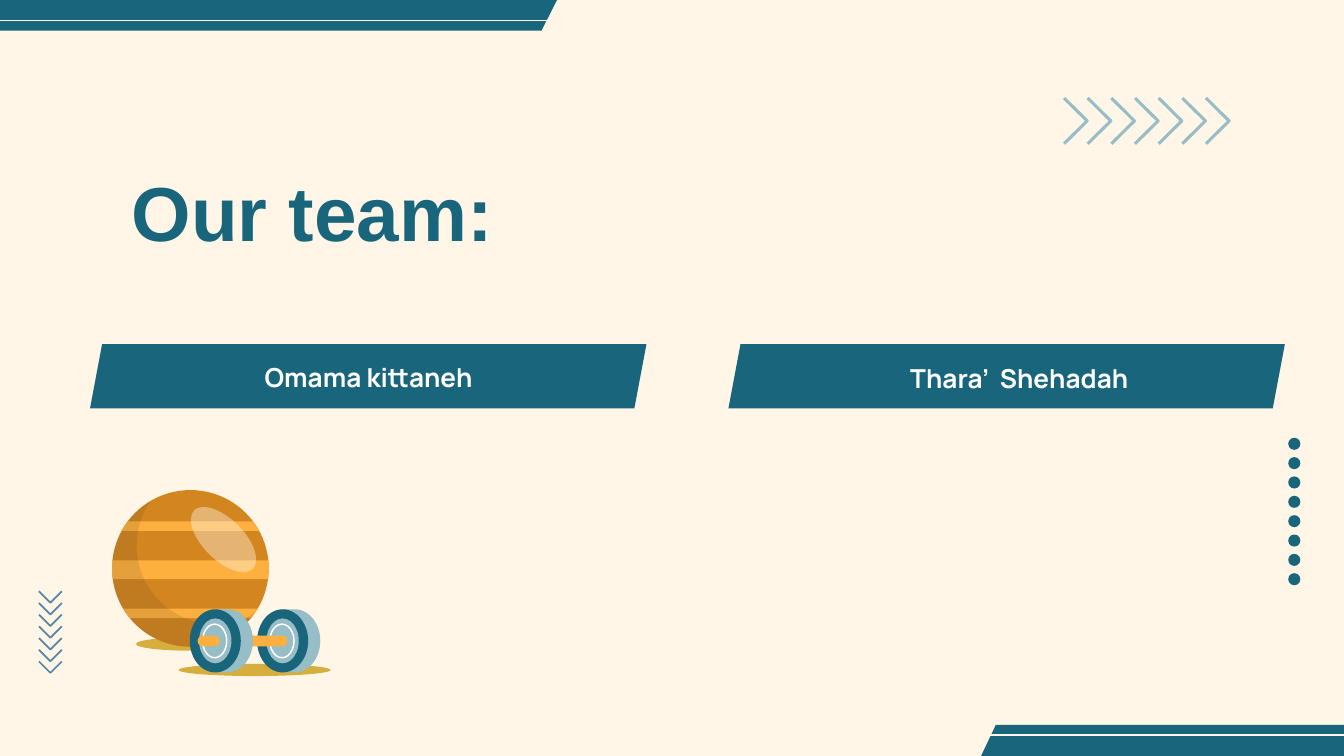
from dataclasses import dataclass
from math import asin, cos, degrees, radians, sin
from typing import Optional

from lxml.etree import SubElement
from pptx import Presentation
from pptx.dml.color import RGBColor
from pptx.enum.shapes import MSO_CONNECTOR, MSO_SHAPE
from pptx.enum.text import MSO_ANCHOR, MSO_AUTO_SIZE, PP_ALIGN
from pptx.oxml.ns import qn
from pptx.util import Inches, Pt

# The slide is a square grid: 1000 columns by 562.5 rows (16:9)
COLUMNS, ROWS = 1000, 562.5
CELL = Inches(10) // COLUMNS

TEAL, CREAM, MIST, STEEL = "19657C", "FFF6E7", "97BDC6", "5687A8"
AMBER, ORANGE, MUSTARD = "FDB03E", "D38620", "D6AE3E"
WHITE, CHARCOAL = "FFFFFF", "272626"

Points = list[tuple[float, float]]


@dataclass(frozen=True)
class Box:
    col: float
    row: float
    cols: float
    rows: float

    def emu(self) -> list[int]:
        return [grid(n) for n in (self.col, self.row, self.cols, self.rows)]


@dataclass(frozen=True)
class Look:
    fill: Optional[str] = None
    line: Optional[str] = None
    weight: float = 1
    opacity: int = 100


@dataclass(frozen=True)
class Member:
    name: str
    banner_col: float
    name_box: Box


def grid(cells: float) -> int:
    return round(cells * CELL)


def rgb(colour: str) -> RGBColor:
    return RGBColor.from_string(colour)


def style(shape, look: Look) -> None:
    shape.shadow.inherit = False
    if look.fill:
        shape.fill.solid()
        shape.fill.fore_color.rgb = rgb(look.fill)
        if look.opacity < 100:
            tint = shape.fill._xPr.find(".//" + qn("a:srgbClr"))
            SubElement(tint, qn("a:alpha"), val=str(look.opacity * 1000))
    else:
        shape.fill.background()
    if look.line:
        shape.line.color.rgb = rgb(look.line)
        shape.line.width = Pt(look.weight)
    else:
        shape.line.fill.background()


def outline(shapes, points: Points, look: Look, close: bool = True) -> None:
    start, *rest = [(grid(x), grid(y)) for x, y in points]
    builder = shapes.build_freeform(*start, scale=1.0)
    builder.add_line_segments(rest, close=close)
    style(builder.convert_to_shape(), look)


def preset(shapes, kind: MSO_SHAPE, box: Box, look: Look):
    shape = shapes.add_shape(kind, *box.emu())
    style(shape, look)
    return shape


def oval(shapes, x: float, y: float, rx: float, ry: float, look: Look):
    return preset(shapes, MSO_SHAPE.OVAL, Box(x - rx, y - ry, 2 * rx, 2 * ry), look)


def arc(x: float, y: float, rx: float, ry: float, start: float, end: float) -> Points:
    steps = 40
    angles = [radians(start + (end - start) * i / steps) for i in range(steps + 1)]
    return [(x + rx * cos(a), y + ry * sin(a)) for a in angles]


def stripe(shapes, start: float, end: float, row: float) -> None:
    line = shapes.add_connector(MSO_CONNECTOR.STRAIGHT, grid(start), grid(row), grid(end), grid(row))
    line.line.color.rgb = rgb(CREAM)
    line.line.width = Pt(0.75)
    SubElement(line._element.spPr, qn("a:effectLst"))


def write(shape, box: Box, text: str, font_format: dict) -> None:
    shape.left, shape.top, shape.width, shape.height = box.emu()
    frame = shape.text_frame
    frame_format = {"word_wrap": True, "auto_size": MSO_AUTO_SIZE.NONE,
                    "vertical_anchor": MSO_ANCHOR.MIDDLE}
    for side in ("left", "right", "top", "bottom"):
        frame_format[f"margin_{side}"] = grid(10)
    for key, value in frame_format.items():
        setattr(frame, key, value)
    paragraph = frame.paragraphs[0]
    paragraph.alignment = PP_ALIGN.CENTER
    run = paragraph.add_run()
    run.text = text
    run.font.color.rgb = rgb(font_format["colour"])
    for key in ("name", "size", "bold"):
        setattr(run.font, key, font_format[key])


def draw_frame(shapes) -> None:
    bar = Look(fill=TEAL)
    outline(shapes, [(0, 0), (0, 22.7), (403, 22.7), (414.5, 0)], bar)
    stripe(shapes, 0, 424, 15.2)
    outline(shapes, [(741, 539.3), (730, ROWS), (COLUMNS, ROWS), (COLUMNS, 539.3)], bar)
    stripe(shapes, 720, COLUMNS, 547)
    # Column of dots
    for i in range(8):
        oval(shapes, 963, 330.2 + 14.4 * i, 4.5, 4.5, bar)
    # Chevrons pointing down, then chevrons pointing right
    for i in range(7):
        y = 440 + 8.7 * i
        outline(shapes, [(29, y), (37.5, y + 8.5), (46, y)], Look(line=STEEL, weight=0.94), False)
    for i in range(7):
        x = 791.7 + 17.6 * i
        outline(shapes, [(x, 73), (x + 17.2, 90), (x, 107)], Look(line=MIST, weight=1.64), False)


def draw_ball(shapes) -> None:
    x, y, r = 141.7, 423, 58.3
    oval(shapes, 142, 479.2, 41, 5, Look(fill=MUSTARD))
    oval(shapes, x, y, r, r, Look(fill=ORANGE))
    for top, bottom in ((388, 395), (453, 460), (417, 431)):
        a, b = (degrees(asin((row - y) / r)) for row in (top, bottom))
        band = arc(x, y, r, r, a, b) + arc(x, y, r, r, 180 - b, 180 - a)
        outline(shapes, band, Look(fill=AMBER))
    gleam = oval(shapes, 166.3, 401.5, 30.7, 15.2, Look(fill=CREAM, opacity=42))
    gleam.rotation = 45
    shade = arc(x, y, r, r, 239, 36) + arc(160, 406, r, r, 60, 215)
    outline(shapes, shade, Look(fill=CHARCOAL, opacity=11))


def draw_wheel(shapes, x: float, axle_start: float, axle_end: float) -> None:
    y, rx, ry = 476.9, 19, 23.5
    tyre = [(x, y - ry)] + arc(x + 9, y, rx, ry, -90, 90) + [(x, y + ry)]
    outline(shapes, tyre, Look(fill=MIST))
    oval(shapes, x, y, rx, ry, Look(fill=TEAL))
    oval(shapes, x, y, 12, 16.7, Look(fill=MIST))
    oval(shapes, x - 0.5, y, 9, 12.5, Look(line=WHITE, weight=0.8))
    axle_box = Box(axle_start, y - 4, axle_end - axle_start, 8)
    axle = preset(shapes, MSO_SHAPE.ROUNDED_RECTANGLE, axle_box, Look(fill=AMBER))
    axle.adjustments[0] = 0.5


def draw_member(shapes, member: Member) -> None:
    x = member.banner_col
    outline(shapes, [(x + 9, 256.2), (x, 304), (x + 405, 304), (x + 414, 256.2)], Look(fill=TEAL))
    write(shapes.add_textbox(0, 0, 0, 0), member.name_box, member.name,
          {"name": "Manrope", "size": Pt(14), "bold": True, "colour": WHITE})


def main() -> None:
    deck = Presentation()
    deck.slide_width, deck.slide_height = grid(COLUMNS), grid(ROWS)
    slide = deck.slides.add_slide(deck.slide_layouts[5])
    slide.background.fill.solid()
    slide.background.fill.fore_color.rgb = rgb(CREAM)
    shapes = slide.shapes

    draw_frame(shapes)

    # Title and team members
    write(shapes.title, Box(41.7, 115, 382, 84), "Our team:",
          {"name": "Arial", "size": Pt(41), "bold": True, "colour": TEAL})
    team = [
        Member("Omama kittaneh", 67, Box(83.3, 248, 382, 65)),
        Member("Thara’  Shehadah", 542, Box(575, 248, 367, 67)),
    ]
    for member in team:
        draw_member(shapes, member)

    # Exercise ball and dumbbell
    draw_ball(shapes)
    oval(shapes, 189.5, 498.5, 56.5, 4.5, Look(fill=MUSTARD))
    draw_wheel(shapes, 210.3, 183, 214)
    draw_wheel(shapes, 160.2, 147, 163.5)

    deck.save("out.pptx")


if __name__ == "__main__":
    main()
